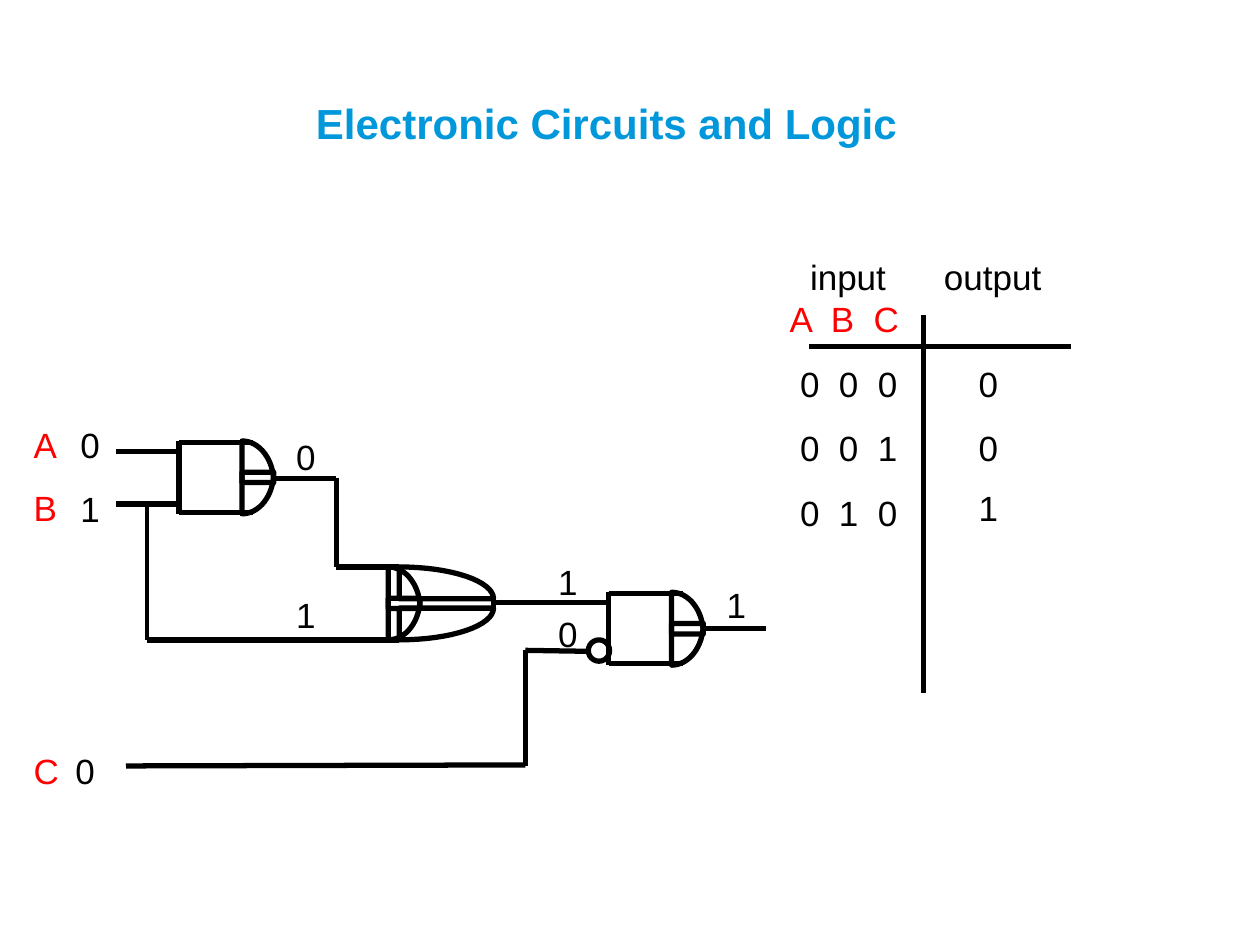
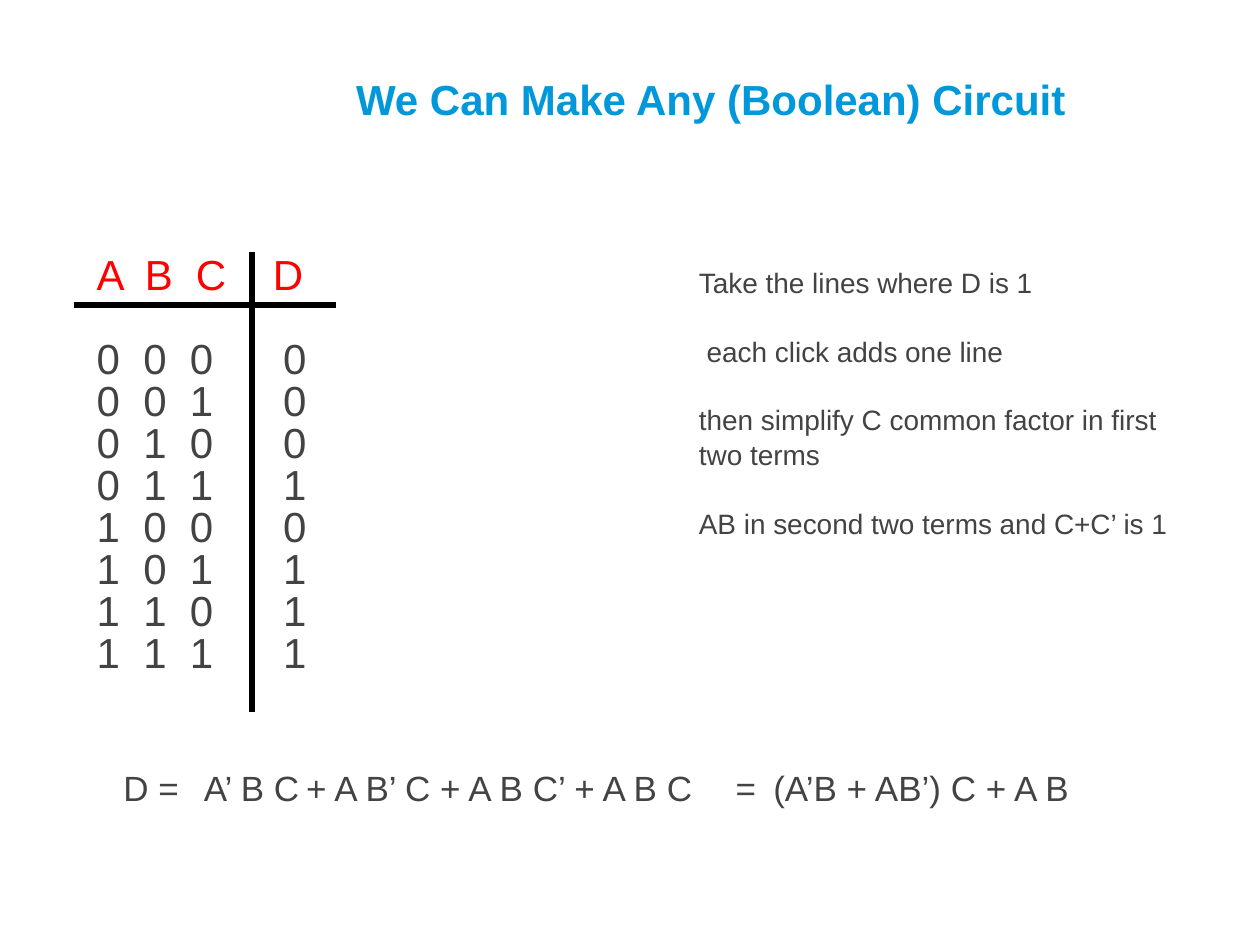
import math

from lxml import etree
from pptx import Presentation
from pptx.dml.color import RGBColor
from pptx.enum import shapes, text
from pptx.oxml import ns
from pptx.util import Cm, Pt

COLORS = {"title": "0098DB", "ink": "000000", "variable": "FF0000", "body": "434343"}
FONT = "Arial"
LINE_WIDTH = 3

# All places and lengths below are in centimetres.
CIRCUIT_TITLE = ("Electronic Circuits and Logic", (6.12, 1.78, 14.94, 1.32))
BOOLEAN_TITLE = ("We Can Make Any (Boolean) Circuit", (6.93, 1.3, 16.46, 1.32))

AND_GATES = [(3.61, 8.89), (12.27, 11.94)]
OR_GATE = (7.83, 11.43)
GATE_HEIGHT = 1.47
INVERTER = (11.86, 12.9, 0.43)

WIRES = [
    (2.34, 9.1, 3.61, 9.1), (2.34, 10.16, 3.61, 10.16),
    (5.51, 9.64, 6.78, 9.64), (6.78, 9.64, 6.78, 11.43),
    (6.78, 11.43, 8.05, 11.43), (6.78, 12.9, 8.05, 12.9),
    (2.97, 12.9, 6.99, 12.9),
    (9.96, 12.14, 11.23, 12.14), (11, 12.14, 12.27, 12.14),
    (14.18, 12.67, 15.44, 12.67),
    (10.59, 13.11, 11.86, 13.13), (2.54, 15.44, 10.59, 15.42),
    (10.59, 15.44, 10.59, 13.11),
]
BRANCH_WIRE = (2.97, 12.9, 2.97, 10.16)

SIGNALS = [
    ("0", 5.72, 8.66), ("1", 5.72, 11.84), ("1", 11, 11.18), ("0", 11, 12.22),
    ("0", 1.27, 14.99), ("1", 14.4, 11.63), ("1", 19.48, 9.68),
]
INPUT_NAMES = [("A", 8.41), ("B", 9.68), ("C", 14.99)]
INPUT_VALUES = (["0", "1"], (1.37, 8.41, 1.32, 2.64))

IO_RULES = [(16.31, 6.99, 21.59, 6.99), (18.62, 6.35, 18.62, 13.97)]
IO_HEADING = ("input\toutput", (16.08, 5.03, 6.35, 1.12), [2.7])
IO_VARIABLES = ("A\tB\tC", (15.67, 5.87, 6.35, 1.12), [0.83, 1.69])
IO_TABS = [0.78, 1.57]
IO_COLUMNS = [
    (["0\t0\t0", "0\t0\t1"], (15.88, 7.19, 2.54, 2.44)),
    (["0\t1\t0"], (15.88, 9.78, 2.64, 1.32)),
    (["0", "0"], (19.48, 7.19, 1.47, 2.44)),
]

TRUTH_HEADER = ("A\tB\tC\tD", [0.97, 2, 3.55])
TRUTH_OUTPUTS = [0, 0, 0, 1, 0, 1, 1, 1]
TRUTH_TABS = [0.94, 1.88, 3.76]
TRUTH_LEFT, TRUTH_TOP, TRUTH_PITCH = 1.7, 6.58, 0.847
TRUTH_RULES = [(1.5, 6.15, 6.78, 6.15), (5.08, 5.08, 5.08, 14.35)]

EQUATION = [
    (["D ="], 2.24, 1.83),
    (["A’ B C", " ", "+ A B’ C + A B C’ + A B C"], 3.86, 16.46),
    (["="], 14.58, 0.76),
    (["(A’B + AB’) C + A B"], 15.34, 9.83),
]
STEPS = [
    "Take the lines where D is 1",
    " each click adds one line",
    "then simplify C common factor in first two terms",
    "AB in second two terms and C+C’ is 1",
]


def set_tabs(paragraph, stops):
    tab_list = etree.SubElement(paragraph._p.get_or_add_pPr(), ns.qn("a:tabLst"))
    for stop in stops:
        etree.SubElement(tab_list, ns.qn("a:tab"), pos=str(Cm(stop)), algn="l")


def style_run(run, size, color, bold=False):
    run.font.size, run.font.name, run.font.bold = Pt(size), FONT, bold
    run.font.color.rgb = RGBColor.from_string(COLORS[color])


def add_text(slide, lines, place, size=20, color="ink", bold=False, tabs=(), gap=12.5):
    """Write one paragraph per line, gap points apart, and return the text frame."""
    frame = slide.shapes.add_textbox(*map(Cm, place)).text_frame
    frame.word_wrap = True
    frame.text = "\n".join(lines)
    for index, paragraph in enumerate(frame.paragraphs):
        if tabs:
            set_tabs(paragraph, tabs)
        if index:
            paragraph.space_before = Pt(gap)
        for run in paragraph.runs:
            style_run(run, size, color, bold)
    return frame


def add_title(slide, title, place):
    frame = add_text(slide, [title], place, 24, "title", bold=True)
    frame.vertical_anchor = text.MSO_ANCHOR.BOTTOM


def stroke(item, width=LINE_WIDTH):
    item.line.color.rgb = RGBColor.from_string(COLORS["ink"])
    item.line.width = Pt(width)


def add_line(slide, ends, width=LINE_WIDTH):
    line = slide.shapes.add_connector(shapes.MSO_CONNECTOR.STRAIGHT, *map(Cm, ends))
    stroke(line, width)
    etree.SubElement(line._element.spPr, ns.qn("a:effectLst"))


def outline(shape):
    shape.fill.background()
    shape.shadow.inherit = False
    stroke(shape)


def add_quarter(slide, left, edge, width, height, steps=16):
    """Outline a quarter ellipse from edge; a negative height bulges upside down."""
    angles = [math.pi / 2 * step / steps for step in range(steps + 1)]
    arc = [(Cm(left + width * math.sin(a)), Cm(edge + height * (1 - math.cos(a))))
           for a in angles]
    builder = slide.shapes.build_freeform(*arc[0], scale=1.0)
    builder.add_line_segments(arc[1:] + [(Cm(left), Cm(edge + height))], close=True)
    outline(builder.convert_to_shape())


def add_round_side(slide, left, top, width, height):
    add_quarter(slide, left, top, width, height)
    add_quarter(slide, left, top + GATE_HEIGHT, width, -height)


def add_and_gate(slide, left, top):
    bottom = top + GATE_HEIGHT
    for y in (top + 0.03, bottom - 0.03):
        add_line(slide, (left, y, left + 1.49, y))
    add_line(slide, (left, top, left, bottom))
    add_round_side(slide, left + 1.27, top, 0.64, 0.84)


def add_or_gate(slide, left, top):
    add_round_side(slide, left, top, 0.64, 0.84)
    add_round_side(slide, left + 0.22, top, 1.9, 0.64)
    tip = left + 2.12
    add_line(slide, (tip, top + 0.64, tip, top + GATE_HEIGHT - 0.64))


def build_circuit(slide):
    add_title(slide, *CIRCUIT_TITLE)
    for gate in AND_GATES:
        add_and_gate(slide, *gate)
    add_or_gate(slide, *OR_GATE)
    for ends in WIRES + IO_RULES:
        add_line(slide, ends)
    add_line(slide, BRANCH_WIRE, 2.25)
    left, top, size = INVERTER
    outline(slide.shapes.add_shape(
        shapes.MSO_SHAPE.OVAL, Cm(left), Cm(top), Cm(size), Cm(size)))

    for value, left, top in SIGNALS:
        add_text(slide, [value], (left, top, 1.32, 1.32))
    add_text(slide, *INPUT_VALUES)
    for name, top in INPUT_NAMES:
        add_text(slide, [name], (0.43, top, 1.47, 1.12), color="variable")
    for (heading, place, tabs), color in ((IO_HEADING, "ink"), (IO_VARIABLES, "variable")):
        add_text(slide, [heading], place, color=color, tabs=tabs)
    for rows, place in IO_COLUMNS:
        add_text(slide, rows, place, tabs=IO_TABS if "\t" in rows[0] else ())


def build_boolean(slide):
    add_title(slide, *BOOLEAN_TITLE)
    for index, output in enumerate(TRUTH_OUTPUTS):
        row = "\t".join(f"{index:03b}{output}")
        place = (TRUTH_LEFT, TRUTH_TOP + index * TRUTH_PITCH, 5.28, 1.32)
        add_text(slide, [row], place, 24, "body", tabs=TRUTH_TABS)
    header, tabs = TRUTH_HEADER
    add_text(slide, [header], (TRUTH_LEFT, 4.88, 5.28, 1.32), 24, "variable", tabs=tabs)
    for ends in TRUTH_RULES:
        add_line(slide, ends)

    for (first, *others), left, width in EQUATION:
        frame = add_text(slide, [first], (left, 15.32, width, 1.12), color="body")
        for part in others:
            run = frame.paragraphs[0].add_run()
            run.text = part
            style_run(run, 14 if part == " " else 20, "body")

    steps = add_text(slide, STEPS, (13.84, 5.08, 10.49, 8.56), 16, "body", gap=19.2)
    steps.margin_top = steps.margin_bottom = Cm(0.25)
    for paragraph in steps.paragraphs:
        paragraph.line_spacing = 1.04


def main():
    deck = Presentation()
    deck.slide_width, deck.slide_height = Cm(25.4), Cm(19.05)
    for build in (build_circuit, build_boolean):
        build(deck.slides.add_slide(deck.slide_layouts[6]))
    deck.save("out.pptx")


if __name__ == "__main__":
    main()
